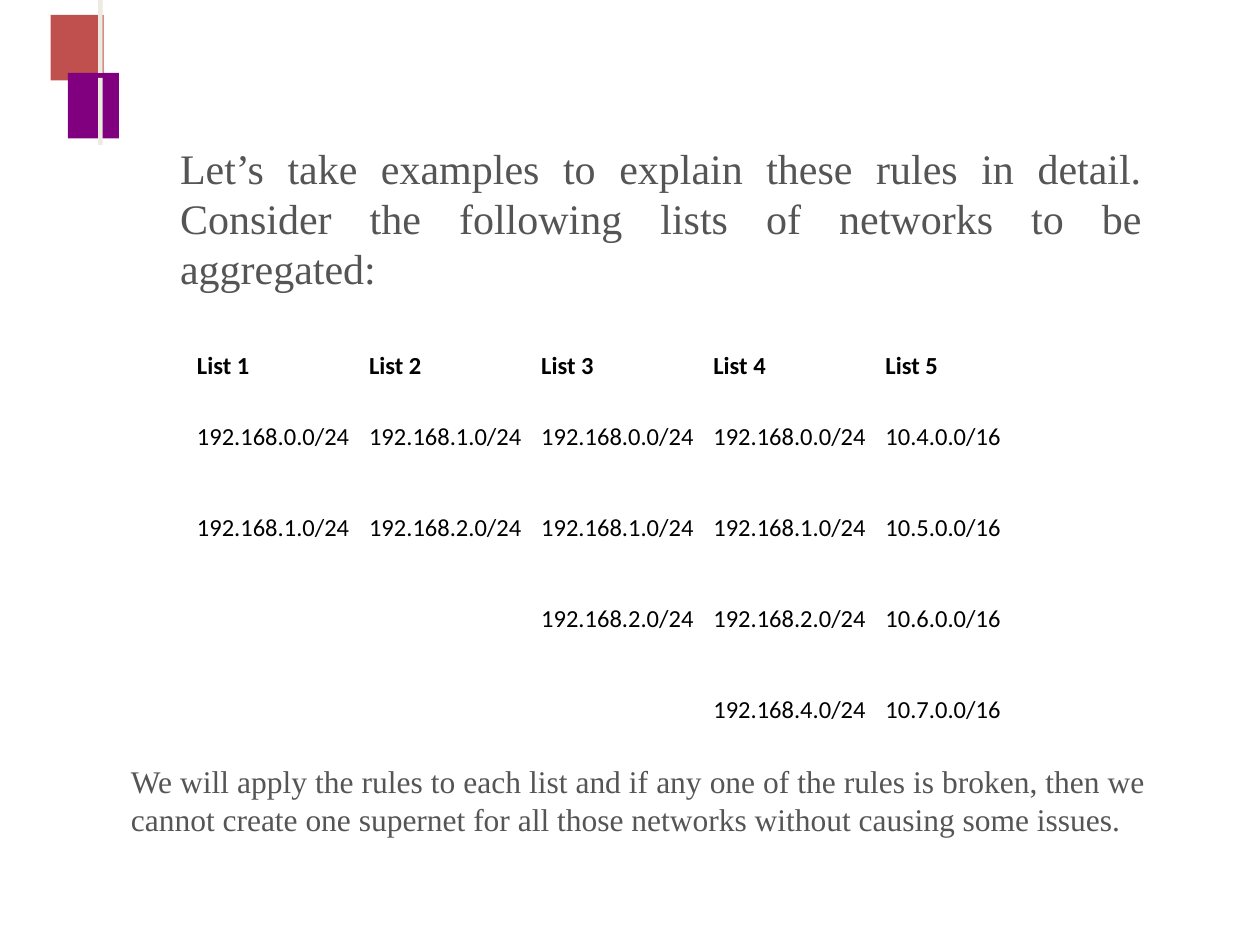
from pptx import Presentation
from pptx.dml.color import RGBColor
from pptx.enum.shapes import MSO_SHAPE
from pptx.enum.text import MSO_ANCHOR, MSO_AUTO_SIZE, PP_ALIGN
from pptx.util import Cm, Pt

RED = RGBColor(0xC0, 0x50, 0x4D)
PURPLE = RGBColor(0x80, 0x00, 0x80)
CREAM = RGBColor(0xED, 0xEB, 0xE0)
GRAY = RGBColor(0x55, 0x55, 0x55)
BLACK = RGBColor(0x00, 0x00, 0x00)
WHITE = RGBColor(0xFF, 0xFF, 0xFF)

INTRODUCTION = (
    "Let’s take examples to explain these rules in detail. "
    "Consider the following lists of networks to be aggregated:"
)
CONCLUSION = (
    "We will apply the rules to each list and if any one of the rules is broken, "
    "then we cannot create one supernet for all those networks without causing some issues."
)
NETWORKS = [
    ["List 1", "List 2", "List 3", "List 4", "List 5"],
    ["192.168.0.0/24", "192.168.1.0/24", "192.168.0.0/24", "192.168.0.0/24", "10.4.0.0/16"],
    ["192.168.1.0/24", "192.168.2.0/24", "192.168.1.0/24", "192.168.1.0/24", "10.5.0.0/16"],
    ["", "", "192.168.2.0/24", "192.168.2.0/24", "10.6.0.0/16"],
    ["", "", "", "192.168.4.0/24", "10.7.0.0/16"],
]


def set_attributes(target, values):
    for name, value in values.items():
        setattr(target, name, value)


def format_font(paragraph, color, **values):
    set_attributes(paragraph.font, values)
    paragraph.font.color.rgb = color


def paint(shape, color):
    shape.shadow.inherit = False
    shape.fill.solid()
    shape.fill.fore_color.rgb = color
    shape.line.fill.background()


def add_block(slide, color, left, top, width, height):
    shape = slide.shapes.add_shape(
        MSO_SHAPE.RECTANGLE, Cm(left), Cm(top), Cm(width), Cm(height)
    )
    paint(shape, color)


def add_split_bar(slide, color, left, width, spans):
    right = left + width
    builder = slide.shapes.build_freeform(Cm(left), Cm(spans[0][0]))
    for top, bottom in spans:
        builder.move_to(Cm(left), Cm(top))
        corners = [(right, top), (right, bottom), (left, bottom)]
        builder.add_line_segments([(Cm(x), Cm(y)) for x, y in corners], close=True)
    paint(builder.convert_to_shape(), color)


def add_text(slide, text, left, top, width, height, size):
    box = slide.shapes.add_textbox(Cm(left), Cm(top), Cm(width), Cm(height))
    frame = box.text_frame
    set_attributes(frame, {"word_wrap": True, "auto_size": MSO_AUTO_SIZE.SHAPE_TO_FIT_TEXT})
    paragraph = frame.paragraphs[0]
    set_attributes(paragraph, {"text": text, "alignment": PP_ALIGN.JUSTIFY})
    format_font(paragraph, GRAY, name="Times New Roman", size=Pt(size))


def fill_cell(cell, text, bold):
    set_attributes(cell, {
        "text": text,
        "vertical_anchor": MSO_ANCHOR.MIDDLE,
        "margin_left": Cm(0.16),
        "margin_right": Cm(0.16),
        "margin_top": Cm(0.08),
        "margin_bottom": Cm(0.08),
    })
    cell.fill.solid()
    cell.fill.fore_color.rgb = WHITE
    format_font(cell.text_frame.paragraphs[0], BLACK, name="Calibri", size=Pt(14), bold=bold)


def add_network_table(slide, rows, left, top, column_width, header_height, row_height):
    columns = len(rows[0])
    height = header_height + row_height * (len(rows) - 1)
    table = slide.shapes.add_table(
        len(rows), columns, Cm(left), Cm(top), Cm(column_width * columns), Cm(height)
    ).table
    table.horz_banding = False
    for column in table.columns:
        column.width = Cm(column_width)
    for row_index, values in enumerate(rows):
        is_header = row_index == 0
        table.rows[row_index].height = Cm(header_height if is_header else row_height)
        for column_index, text in enumerate(values):
            fill_cell(table.cell(row_index, column_index), text, is_header)


def main():
    presentation = Presentation()
    set_attributes(presentation, {"slide_width": Cm(25.4), "slide_height": Cm(19.05)})
    slide = presentation.slides.add_slide(presentation.slide_layouts[6])
    add_block(slide, RED, 1.02, 0.3, 1.07, 1.32)
    add_block(slide, PURPLE, 1.37, 1.47, 1.03, 1.32)
    add_split_bar(slide, CREAM, 1.98, 0.09, [(0, 1.47), (1.57, 2.92)])
    add_text(slide, INTRODUCTION, 3.38, 2.74, 19.89, 3.33, 24)
    add_network_table(slide, NETWORKS, 3.81, 6.86, 3.47, 1.04, 1.83)
    add_text(slide, CONCLUSION, 2.39, 15.24, 20.96, 1.8, 18)
    presentation.save("out.pptx")


if __name__ == "__main__":
    main()
